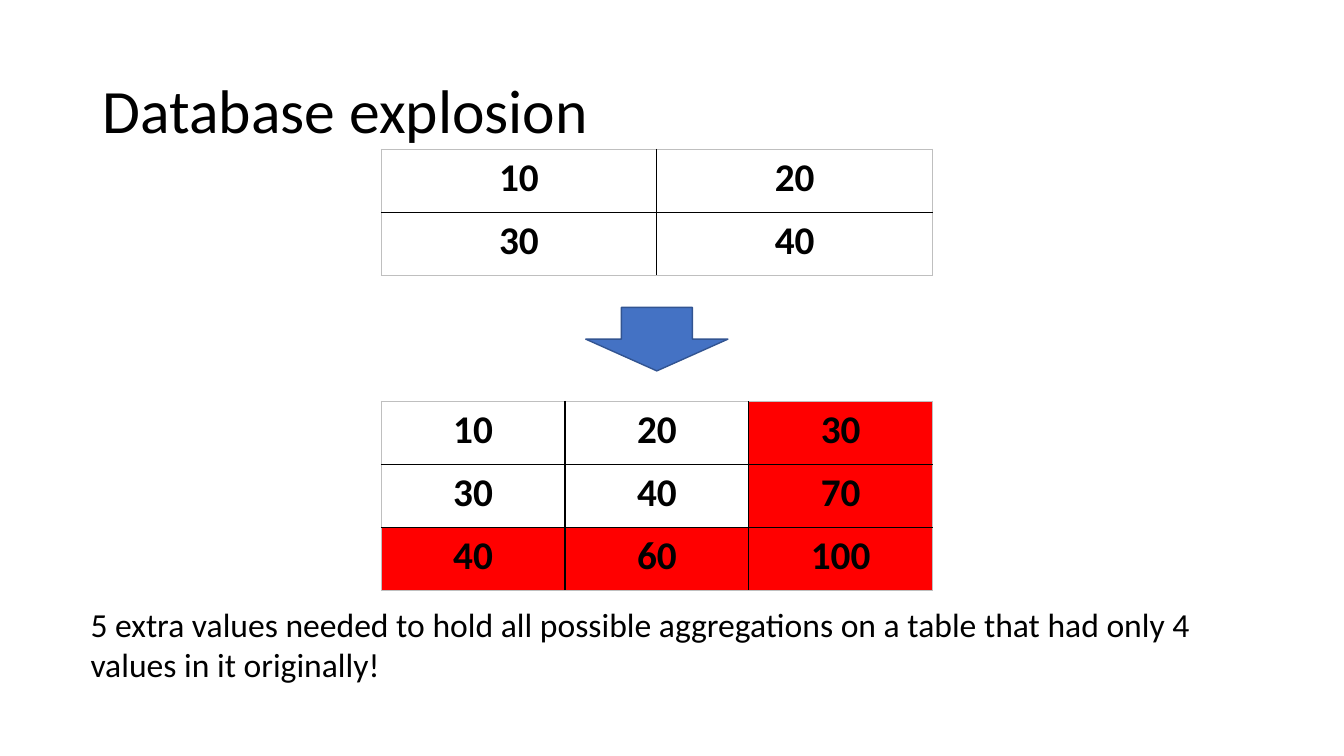
"""Build the database explosion slide."""
from lxml.etree import SubElement
from pptx import Presentation
from pptx.dml.color import RGBColor
from pptx.enum.shapes import MSO_SHAPE
from pptx.enum.text import MSO_ANCHOR, PP_ALIGN
from pptx.oxml.ns import qn
from pptx.util import Inches, Pt

BLACK = RGBColor(0x00, 0x00, 0x00)
GREY = RGBColor(0xBF, 0xBF, 0xBF)
RED = RGBColor(0xFF, 0x00, 0x00)
BLUE = RGBColor(0x44, 0x72, 0xC4)
DARK_BLUE = RGBColor(0x32, 0x54, 0x91)

GRID_LEFT, GRID_WIDTH, ROW_HEIGHT = 3.78, 5.47, 0.625
BASE_VALUES = [[10, 20], [30, 40]]


def set_font(paragraph, size, bold=False):
    """Apply the slide's typeface to a paragraph."""
    font_format = {"name": "Calibri", "size": Pt(size), "bold": bold}
    for attribute, value in font_format.items():
        setattr(paragraph.font, attribute, value)
    paragraph.font.color.rgb = BLACK


def add_text(slide, box, text, size, anchor=MSO_ANCHOR.TOP, line_spacing=1.0):
    """Add a wrapped single-paragraph text box."""
    frame = slide.shapes.add_textbox(*map(Inches, box)).text_frame
    frame.word_wrap = True
    frame.vertical_anchor = anchor
    paragraph = frame.paragraphs[0]
    paragraph.text = text
    paragraph.line_spacing = line_spacing
    set_font(paragraph, size)


def add_border(cell, side, color, width):
    """Draw one edge of a table cell."""
    edge = SubElement(cell._tc.get_or_add_tcPr(), qn(f"a:ln{side}"), w=str(Pt(width)))
    fill = SubElement(edge, qn("a:solidFill"))
    SubElement(fill, qn("a:srgbClr"), val=str(color))


def add_grid(slide, top, values, base_size):
    """Add a number grid, with cells beyond the base size in red."""
    count = len(values)
    box = (GRID_LEFT, top, GRID_WIDTH, ROW_HEIGHT * count)
    grid = slide.shapes.add_table(count, count, *map(Inches, box)).table
    grid.first_row = grid.horz_banding = False
    for row, numbers in enumerate(values):
        for column, number in enumerate(numbers):
            cell = grid.cell(row, column)
            outer_edges = {
                "L": column == 0,
                "R": column == count - 1,
                "T": row == 0,
                "B": row == count - 1,
            }
            for side, is_outer in outer_edges.items():
                add_border(cell, side, *((GREY, 0.5) if is_outer else (BLACK, 1)))
            if max(row, column) >= base_size:
                cell.fill.solid()
                cell.fill.fore_color.rgb = RED
            else:
                cell.fill.background()
            paragraph = cell.text_frame.paragraphs[0]
            paragraph.text = str(number)
            paragraph.alignment = PP_ALIGN.CENTER
            set_font(paragraph, 28, bold=True)


def add_down_arrow(slide, box):
    """Add the block arrow between the grids."""
    arrow = slide.shapes.add_shape(MSO_SHAPE.DOWN_ARROW, *map(Inches, box))
    arrow.shadow.inherit = False
    arrow.fill.solid()
    arrow.fill.fore_color.rgb = BLUE
    arrow.line.color.rgb = DARK_BLUE
    arrow.line.width = Pt(1)


def with_totals(values):
    """Append row sums and column sums to a grid of numbers."""
    rows = [[*row, sum(row)] for row in values]
    return [*rows, [sum(column) for column in zip(*rows)]]


def main():
    """Build and save the slide."""
    presentation = Presentation()
    presentation.slide_width = Inches(13.33)
    presentation.slide_height = Inches(7.5)
    slide = presentation.slides.add_slide(presentation.slide_layouts[6])
    add_text(slide, (0.92, 0.4, 11.5, 1.45), "Database explosion", 44,
             MSO_ANCHOR.MIDDLE, 0.9)
    add_grid(slide, 1.48, BASE_VALUES, len(BASE_VALUES))
    add_grid(slide, 3.98, with_totals(BASE_VALUES), len(BASE_VALUES))
    add_down_arrow(slide, (5.81, 3.05, 1.41, 0.63))
    add_text(slide, (0.8, 5.94, 11.87, 0.91),
             "5 extra values needed to hold all possible aggregations on a table "
             "that had only 4 values in it originally!", 24)
    presentation.save("out.pptx")


if __name__ == "__main__":
    main()
